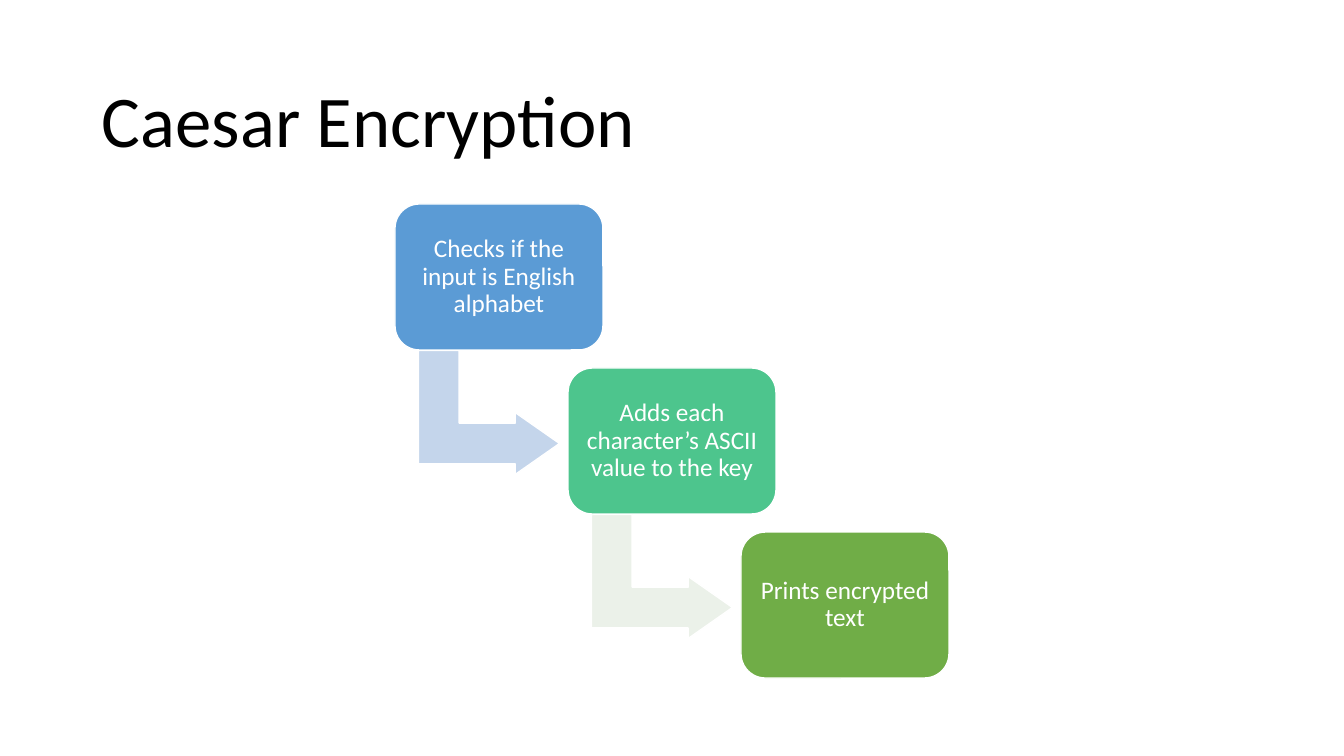
from dataclasses import dataclass

from pptx import Presentation
from pptx.dml.color import RGBColor
from pptx.enum.shapes import MSO_SHAPE
from pptx.enum.text import MSO_ANCHOR, PP_ALIGN
from pptx.util import Emu, Pt

ROUNDED = MSO_SHAPE.ROUNDED_RECTANGLE
BENT_ARROW = MSO_SHAPE.BENT_UP_ARROW
MIDDLE = MSO_ANCHOR.MIDDLE
LEFT, CENTER = PP_ALIGN.LEFT, PP_ALIGN.CENTER

EMU_PER_PX = 914400 / 100.8
SLIDE_SIZE = (1344, 756)
TITLE_BOX = (92, 61, 1159, 125)
FLOW_BOX = (395, 204, 554, 474)
STEP_SIZE = (208, 146)
ARROW_OFFSET = (32, 138)
ARROW_SIZE = (124, 141)


@dataclass(frozen=True)
class Theme:
    font: str = "Calibri"
    title_size: int = 52
    step_size: int = 18
    title: str = "000000"
    white: str = "FFFFFF"
    steps: tuple = ("5B9BD5", "4DC58D", "70AD47")
    arrows: tuple = ("C4D5EB", "EBF1E9")


THEME = Theme()
STEPS = (
    "Checks if the input is English alphabet",
    "Adds each character’s ASCII value to the key",
    "Prints encrypted text",
)


def px(length):
    return Emu(round(length * EMU_PER_PX))


def write(frame, wording, size, color, align):
    frame.word_wrap = True
    frame.vertical_anchor = MIDDLE
    paragraph = frame.paragraphs[0]
    paragraph.alignment = align
    paragraph.line_spacing = 0.9
    run = paragraph.add_run()
    run.text = wording
    run.font.name = THEME.font
    run.font.size = Pt(size)
    run.font.color.rgb = RGBColor.from_string(color)


def add_filled(slide, kind, box, fill, adjustments):
    shape = slide.shapes.add_shape(kind, *map(px, box))
    shape.shadow.inherit = False
    shape.fill.solid()
    shape.fill.fore_color.rgb = RGBColor.from_string(fill)
    shape.line.color.rgb = RGBColor.from_string(THEME.white)
    shape.line.width = Pt(1)
    for index, value in enumerate(adjustments):
        shape.adjustments[index] = value
    return shape


def add_title(slide, box):
    title = slide.shapes.add_textbox(*map(px, box))
    write(title.text_frame, "Caesar Encryption", THEME.title_size, THEME.title, LEFT)


def add_step(slide, box, wording, fill):
    step = add_filled(slide, ROUNDED, box, fill, [0.167])
    frame = step.text_frame
    frame.margin_left = frame.margin_right = px(7)
    frame.margin_top = frame.margin_bottom = px(7)
    write(frame, wording, THEME.step_size, THEME.white, CENTER)


def add_step_down_flow(slide, box):
    """Spread the steps from the top left to the bottom right of the box."""
    left, top, width, height = box
    step_width, step_height = STEP_SIZE
    gaps = len(STEPS) - 1
    pitch_x = (width - step_width) / gaps
    pitch_y = (height - step_height) / gaps
    for index, wording in enumerate(STEPS):
        x, y = left + index * pitch_x, top + index * pitch_y
        if index < gaps:
            arrow_box = (x + ARROW_OFFSET[0], y + ARROW_OFFSET[1], *ARROW_SIZE)
            arrow = add_filled(slide, BENT_ARROW, arrow_box, THEME.arrows[index],
                               [0.328, 0.25, 0.358])
            arrow.rotation = 90
        add_step(slide, (x, y, *STEP_SIZE), wording, THEME.steps[index])


def main():
    deck = Presentation()
    deck.slide_width, deck.slide_height = map(px, SLIDE_SIZE)
    slide = deck.slides.add_slide(deck.slide_layouts[6])
    add_title(slide, TITLE_BOX)
    add_step_down_flow(slide, FLOW_BOX)
    deck.save("out.pptx")


if __name__ == "__main__":
    main()
